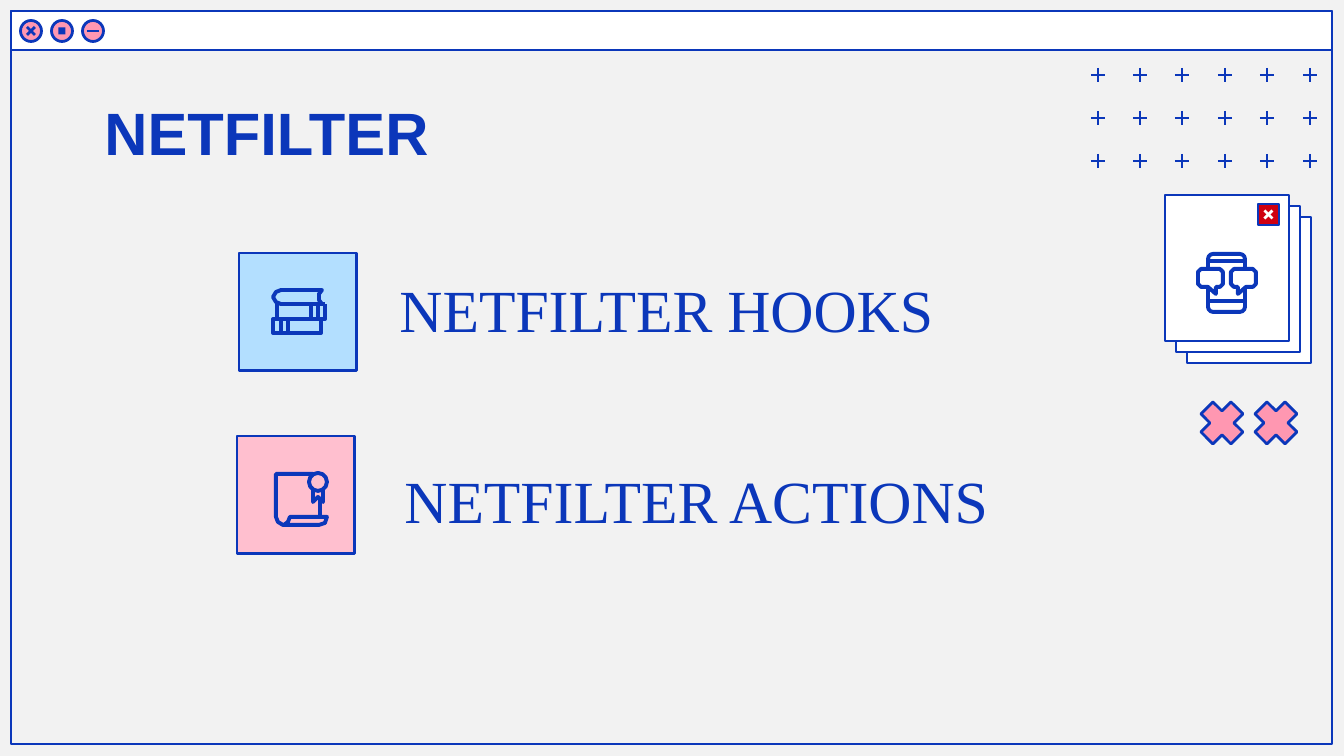
"""Builds the NETFILTER section slide in a browser-window style."""
from lxml.etree import SubElement
from pptx import Presentation
from pptx.dml.color import RGBColor
from pptx.enum.shapes import MSO_CONNECTOR as CONN, MSO_SHAPE as SHAPE
from pptx.enum.text import MSO_ANCHOR as ANCHOR, MSO_AUTO_SIZE as AUTO, PP_ALIGN as ALIGN
from pptx.oxml.ns import qn
from pptx.util import Emu, Pt

PX = 914400 / 134.4
THEME = dict(
    paper="F2F2F2", white="FFFFFF", blue="0B37BA", sky="B3DFFF", rose="FFBFCF",
    pink="FF97B1", red="CF0011", head="Arial", body="Times New Roman",
    size=32, line=1.5, pen=2.1,
)

TITLE = ("NETFILTER", (91, 82, 894, 87))
TOPICS = [
    dict(text="NETFILTER HOOKS", box=(386, 281, 585, 55), tile=(239, 253, 118, 118), fill="sky"),
    dict(text="NETFILTER ACTIONS", box=(391, 472, 659, 55), tile=(237, 436, 118, 118), fill="rose"),
]
FRAME, BAR = (11, 11, 1321, 733), (11, 11, 1321, 39)
BUTTONS = [(31, 31), (62, 31), (93, 31)]
PLUSES = [(1098 + 212 * i // 5, 75 + 43 * j) for j in range(3) for i in range(6)]
SHEET, SHEET_STEP = (1165, 195, 124, 146), 11
CLOSE = (1258, 204, 21, 21)
CROSSES = [(1222, 423), (1276, 423)]
CROSS = [(21, -9), (9, -21), (0, -12), (-9, -21), (-21, -9), (-12, 0),
         (-21, 9), (-9, 21), (0, 12), (9, 21), (21, 9), (12, 0)]

BOOKS = [
    [(325, 304), (281, 304), (276, 302), (273, 297), (276, 292), (281, 290),
     (322, 290), (319, 294), (319, 300), (322, 304)],
    [(277, 304), (277, 319), (325, 319), (325, 304)],
    [(311, 304), (311, 319)], [(318, 304), (318, 319)],
    [(273, 319), (273, 333), (321, 333), (321, 319), (273, 319)],
    [(281, 319), (281, 333)], [(288, 319), (288, 333)],
]
SCROLL = [
    [(313, 474), (276, 474), (276, 517), (278, 522), (283, 525), (319, 525),
     (325, 523), (327, 517), (290, 517), (288, 522), (284, 525)],
    [(320, 497), (320, 517)],
    [(313, 490), (313, 502), (318, 497), (323, 502), (323, 490)],
]
SEAL = (309, 473, 18, 18)
PHONE, PHONE_RULES = (1208, 254, 37, 58), (261, 301)
BUBBLE = [(1201, 269), (1220, 269), (1223, 272), (1223, 284), (1220, 287), (1216, 287),
          (1216, 294), (1208, 287), (1201, 287), (1198, 284), (1198, 272)]
MIRROR = 1227

prs = Presentation()
prs.slide_width, prs.slide_height = Emu(round(1344 * PX)), Emu(round(756 * PX))
s = prs.slides.add_slide(prs.slide_layouts[3])


def emu(values):
    return [Emu(round(v * PX)) for v in values]


def color(name):
    return RGBColor.from_string(THEME[name])


def paint(sp, fill=None, line="blue", width=THEME["line"]):
    sp.shadow.inherit = False
    if fill:
        sp.fill.solid()
        sp.fill.fore_color.rgb = color(fill)
    else:
        sp.fill.background()
    if line:
        sp.line.color.rgb = color(line)
        sp.line.width = Pt(width)
    else:
        sp.line.fill.background()


def shape(kind, box, **fmt):
    sp = s.shapes.add_shape(kind, *emu(box))
    paint(sp, **fmt)
    return sp


def outline(points, close=False, **fmt):
    fb = s.shapes.build_freeform(*points[0], scale=PX)
    fb.add_line_segments(points[1:], close=close)
    paint(fb.convert_to_shape(), **fmt)


def stroke(x1, y1, x2, y2, line="blue", width=THEME["line"]):
    cn = s.shapes.add_connector(CONN.STRAIGHT, *emu((x1, y1, x2, y2)))
    cn.line.color.rgb = color(line)
    cn.line.width = Pt(width)
    SubElement(cn.element.spPr, qn("a:effectLst"))


def x_mark(x, y, **fmt):
    stroke(x - 4, y - 4, x + 4, y + 4, **fmt)
    stroke(x - 4, y + 4, x + 4, y - 4, **fmt)


def write(sp, text, box, font="body", bold=False, anchor=ANCHOR.MIDDLE):
    sp.left, sp.top, sp.width, sp.height = emu(box)
    tf = sp.text_frame
    tf.text = text
    tf.word_wrap, tf.auto_size, tf.vertical_anchor = True, AUTO.NONE, anchor
    tf.margin_left = tf.margin_right = tf.margin_top = tf.margin_bottom = Pt(7.2)
    p = tf.paragraphs[0]
    p.alignment, p.space_before = ALIGN.LEFT, Pt(0)
    pPr = p._p.get_or_add_pPr()
    pPr.set("marL", "0")
    pPr.set("indent", "0")
    SubElement(pPr, qn("a:buNone"))
    f = p.runs[0].font
    f.name, f.size, f.bold = THEME[font], Pt(THEME["size"]), bold
    f.color.rgb = color("blue")


def window():
    shape(SHAPE.RECTANGLE, FRAME)
    shape(SHAPE.RECTANGLE, BAR, fill="white")
    for x, y in BUTTONS:
        shape(SHAPE.OVAL, (x - 10.5, y - 10.5, 21, 21), fill="pink")
    (x, y), (sx, sy), (mx, my) = BUTTONS
    x_mark(x, y)
    shape(SHAPE.RECTANGLE, (sx - 3.5, sy - 3.5, 7, 7), fill="blue", line=None)
    stroke(mx - 6, my, mx + 6, my)


def decorations():
    for x, y in PLUSES:
        stroke(x - 7, y, x + 7, y)
        stroke(x, y - 7, x, y + 7)
    left, top, w, h = SHEET
    for k in (2, 1, 0):
        shape(SHAPE.RECTANGLE, (left + k * SHEET_STEP, top + k * SHEET_STEP, w, h), fill="white")
    shape(SHAPE.RECTANGLE, CLOSE, fill="red")
    x_mark(CLOSE[0] + CLOSE[2] / 2, CLOSE[1] + CLOSE[3] / 2, line="white")
    for x, y in CROSSES:
        outline([(x + dx, y + dy) for dx, dy in CROSS], close=True, fill="pink")


def icons():
    pen = THEME["pen"]
    for points in BOOKS + SCROLL:
        outline(points, width=pen)
    shape(SHAPE.OVAL, SEAL, fill="rose", width=pen)
    shape(SHAPE.ROUNDED_RECTANGLE, PHONE, width=pen).adjustments[0] = 0.14
    for y in PHONE_RULES:
        stroke(PHONE[0], y, PHONE[0] + PHONE[2], y, width=pen)
    for points in (BUBBLE, [(2 * MIRROR - x, y) for x, y in BUBBLE]):
        outline(points, close=True, fill="white", width=pen)


s.background.fill.solid()
s.background.fill.fore_color.rgb = color("paper")
title, *bodies = s.placeholders
window()
write(title, *TITLE, font="head", bold=True, anchor=ANCHOR.TOP)
for sp, topic in zip(bodies, TOPICS):
    shape(SHAPE.RECTANGLE, topic["tile"], fill=topic["fill"])
    write(sp, topic["text"], topic["box"])
decorations()
icons()
prs.save("out.pptx")
